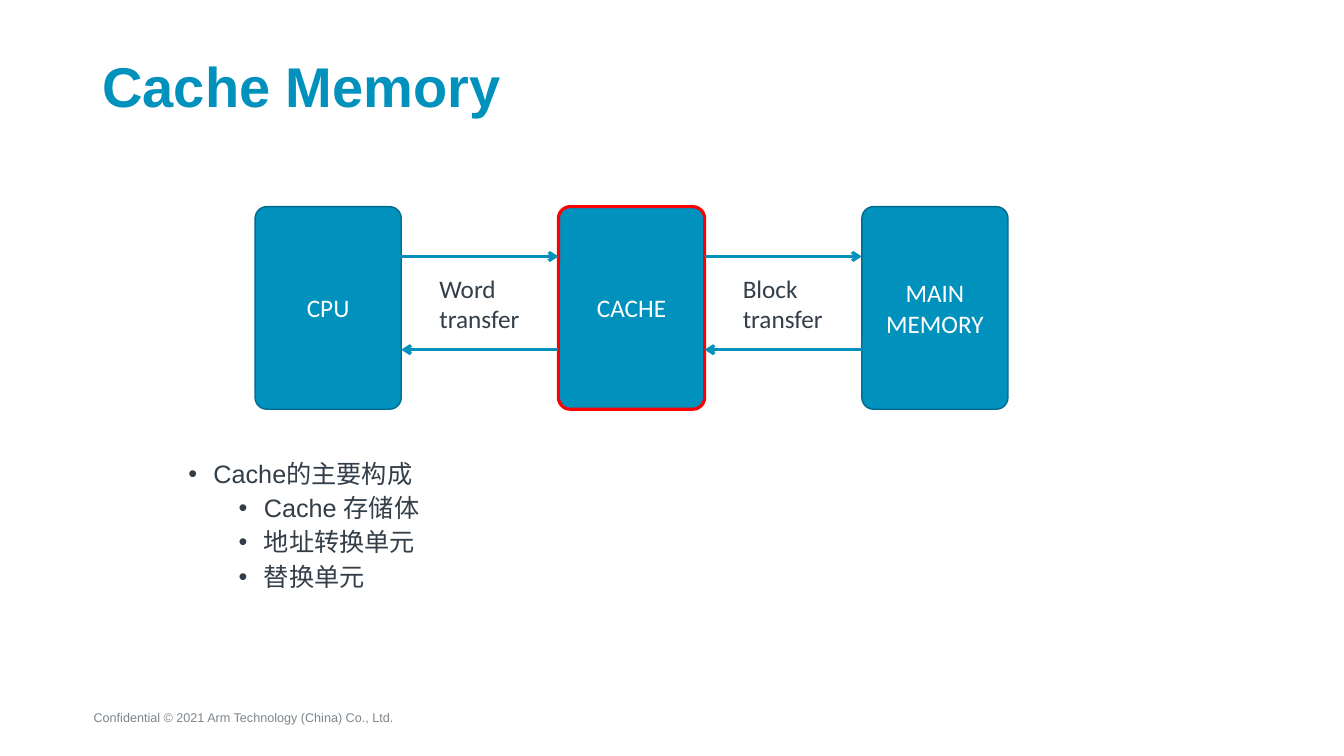
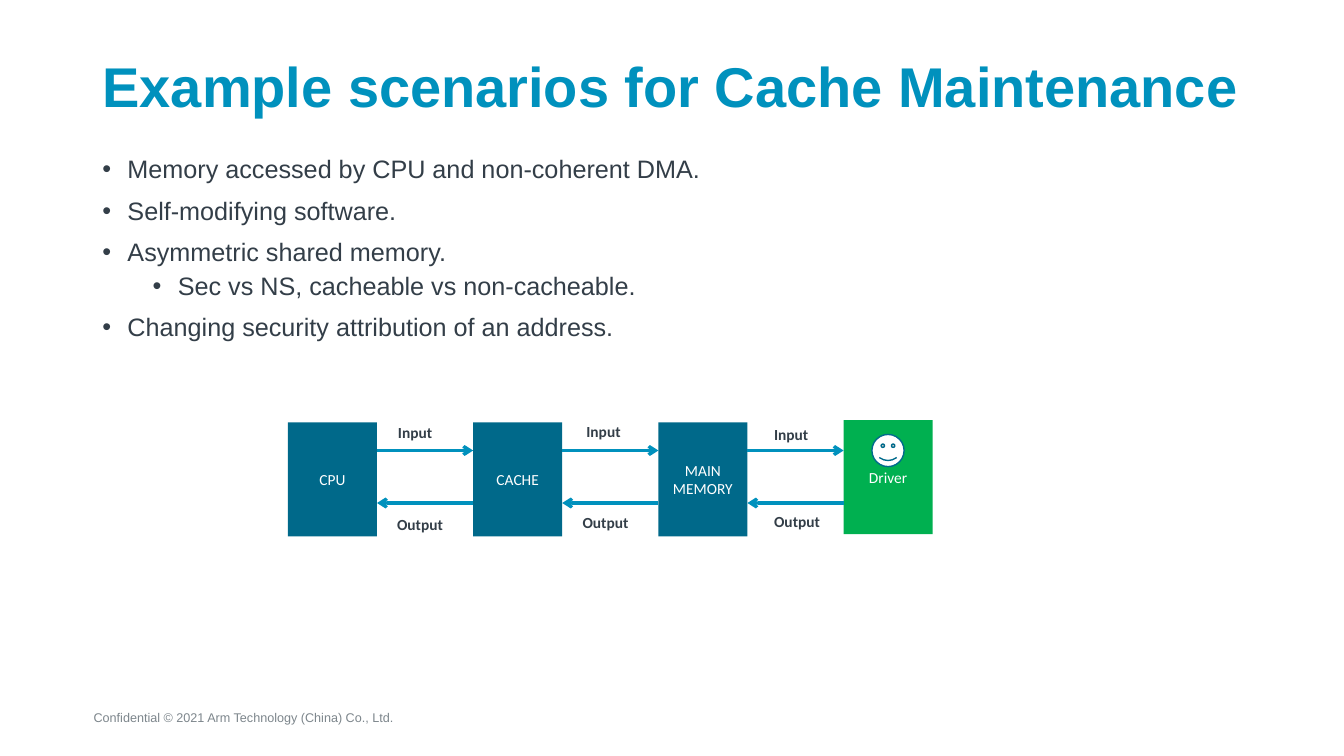
import dataclasses

import pptx
import pptx.dml.color
import pptx.enum.shapes
import pptx.enum.text
import pptx.oxml
import pptx.oxml.ns
import pptx.util

Pt = pptx.util.Pt
MSO_SHAPE = pptx.enum.shapes.MSO_SHAPE
ANCHOR = pptx.enum.text.MSO_ANCHOR
ALIGN = pptx.enum.text.PP_ALIGN


@dataclasses.dataclass(frozen=True)
class Theme:
    heading_font: str = "Arial"
    diagram_font: str = "Calibri"
    blue: str = "0091BD"
    dark_blue: str = "00698A"
    outline: str = "006B8C"
    red: str = "FF0000"
    green: str = "00B050"
    white: str = "FFFFFF"
    ink: str = "333E48"
    grey: str = "7D868C"
    title_size: float = 40
    body_size: float = 18
    small_size: float = 11
    footer_size: float = 9
    arrow_width: float = 2.25


def rgb(color):
    return pptx.dml.color.RGBColor.from_string(color)


def add_xml(parent, tag, **attrs):
    el = pptx.oxml.parse_xml(f"<a:{tag} {pptx.oxml.ns.nsdecls('a')}/>")
    for name, value in attrs.items():
        el.set(name, value)
    parent.append(el)


class Deck:
    def __init__(self, theme):
        self.theme = theme
        self.prs = pptx.Presentation()
        self.prs.slide_width = Pt(960)
        self.prs.slide_height = Pt(540)
        self.s = None

    def run(self, p, text, size, color, font, bold=False):
        r = p.add_run()
        r.text = text
        r.font.size = Pt(size)
        r.font.name = font
        r.font.bold = bold
        r.font.color.rgb = rgb(color)

    def slide(self, title):
        t = self.theme
        self.s = self.prs.slides.add_slide(self.prs.slide_layouts[5])
        self.text(59.8, 503.3, 363, 19.4, "Confidential © 2021 Arm Technology (China) Co., Ltd.",
                  t.footer_size, t.grey, t.heading_font)
        sp = self.s.shapes.title
        sp.left, sp.top, sp.width, sp.height = Pt(66), Pt(36), Pt(828), Pt(55.5)
        tf = sp.text_frame
        tf.auto_size = pptx.enum.text.MSO_AUTO_SIZE.NONE
        tf.vertical_anchor = ANCHOR.MIDDLE
        p = tf.paragraphs[0]
        p.alignment = ALIGN.LEFT
        p.line_spacing = 0.9
        self.run(p, title, t.title_size, t.blue, t.heading_font, True)

    def frame(self, x, y, w, h):
        tf = self.s.shapes.add_textbox(Pt(x), Pt(y), Pt(w), Pt(h)).text_frame
        tf.word_wrap = True
        return tf

    def text(self, x, y, w, h, text, size, color, font, bold=False):
        p = self.frame(x, y, w, h).paragraphs[0]
        self.run(p, text, size, color, font, bold)

    def label(self, x, y, w, h, text, size, bold=False):
        self.text(x, y, w, h, text, size, self.theme.ink, self.theme.diagram_font, bold)

    def bullets(self, x, y, w, h, items):
        t = self.theme
        tf = self.frame(x, y, w, h)
        for i, (level, text) in enumerate(items):
            p = tf.add_paragraph() if i else tf.paragraphs[0]
            p.level = level
            p.line_spacing = 0.9
            p.space_before = Pt((5 if level else 10) if i else 0)
            pPr = p._p.get_or_add_pPr()
            pPr.set("marL", str(Pt(18 + 36 * level)))
            pPr.set("indent", str(-Pt(18)))
            add_xml(pPr, "buFont", typeface=t.heading_font)
            add_xml(pPr, "buChar", char="•")
            self.run(p, text, t.body_size, t.ink, t.heading_font)

    def shape(self, kind, x, y, w, h, fill, line=None, line_width=1):
        sp = self.s.shapes.add_shape(kind, Pt(x), Pt(y), Pt(w), Pt(h))
        sp.shadow.inherit = False
        sp.fill.solid()
        sp.fill.fore_color.rgb = rgb(fill)
        if line:
            sp.line.color.rgb = rgb(line)
            sp.line.width = Pt(line_width)
        else:
            sp.line.fill.background()
        return sp

    def box(self, kind, x, y, w, h, text, size, fill, line=None, line_width=1):
        sp = self.shape(kind, x, y, w, h, fill, line, line_width)
        if kind == MSO_SHAPE.ROUNDED_RECTANGLE:
            sp.adjustments[0] = 0.08
        tf = sp.text_frame
        tf.word_wrap = True
        tf.vertical_anchor = ANCHOR.MIDDLE
        p = tf.paragraphs[0]
        p.alignment = ALIGN.CENTER
        self.run(p, text, size, self.theme.white, self.theme.diagram_font)

    def arrow(self, x1, x2, y):
        cxn = self.s.shapes.add_connector(
            pptx.enum.shapes.MSO_CONNECTOR.STRAIGHT, Pt(x1), Pt(y), Pt(x2), Pt(y))
        cxn.line.color.rgb = rgb(self.theme.blue)
        cxn.line.width = Pt(self.theme.arrow_width)
        add_xml(cxn.line._get_or_add_ln(), "tailEnd", type="arrow")
        add_xml(cxn._element.spPr, "effectLst")

    def exchange(self, left, right, y_out, y_back):
        self.arrow(left, right, y_out)
        self.arrow(right, left, y_back)


def cache_memory(deck):
    t = deck.theme
    deck.slide("Cache Memory")
    x, pitch, w = 182.2, 216.7, 104.4
    blocks = [("CPU", t.outline, 1), ("CACHE", t.red, 2.25), ("MAIN MEMORY", t.outline, 1)]
    for i, (name, line, line_width) in enumerate(blocks):
        deck.box(MSO_SHAPE.ROUNDED_RECTANGLE, x + i * pitch, 147.6, w, 144.7,
                 name, t.body_size, t.blue, line, line_width)
    for i, name in enumerate(["Word transfer", "Block transfer"]):
        left = x + i * pitch + w
        deck.exchange(left, left + pitch - w, 183.2, 249.8)
        deck.label(left + 20.2, 191.5, 72, 51, name, t.body_size)
    deck.bullets(127.4, 326.2, 653.8, 144.7, [
        (0, "Cache的主要构成"),
        (1, "Cache 存储体"),
        (1, "地址转换单元"),
        (1, "替换单元"),
    ])


def maintenance_scenarios(deck):
    t = deck.theme
    deck.slide("Example scenarios for Cache Maintenance")
    deck.bullets(66, 108.7, 828, 362, [
        (0, "Memory accessed by CPU and non-coherent DMA."),
        (0, "Self-modifying software."),
        (0, "Asymmetric shared memory."),
        (1, "Sec vs NS, cacheable vs non-cacheable."),
        (0, "Changing security attribution of an address."),
    ])
    x, pitch, w = 205.7, 132.3, 63.6
    blocks = [("CPU", 301.7, t.dark_blue), ("CACHE", 301.7, t.dark_blue),
              ("MAIN MEMORY", 301.7, t.dark_blue), ("Driver", 300.2, t.green)]
    for i, (name, y, fill) in enumerate(blocks):
        deck.box(MSO_SHAPE.RECTANGLE, x + i * pitch, y, w, 81.4, name, t.small_size, fill)
    labels = [((277.2, 298.8), (276.5, 364.3)),
              ((411.8, 298.1), (409, 362.9)),
              ((545.8, 300.2), (545.8, 362.2))]
    for i, (input_at, output_at) in enumerate(labels):
        left = x + i * pitch + w
        deck.exchange(left, left + pitch - w, 321.8, 359.3)
        deck.label(*input_at, 50.4, 20.9, "Input", t.small_size, True)
        deck.label(*output_at, 56.9, 20.9, "Output", t.small_size, True)
    deck.shape(MSO_SHAPE.SMILEY_FACE, 622.8, 310.3, 23, 23, t.white, t.outline)


def main():
    deck = Deck(Theme())
    cache_memory(deck)
    maintenance_scenarios(deck)
    deck.prs.save("out.pptx")


if __name__ == "__main__":
    main()
